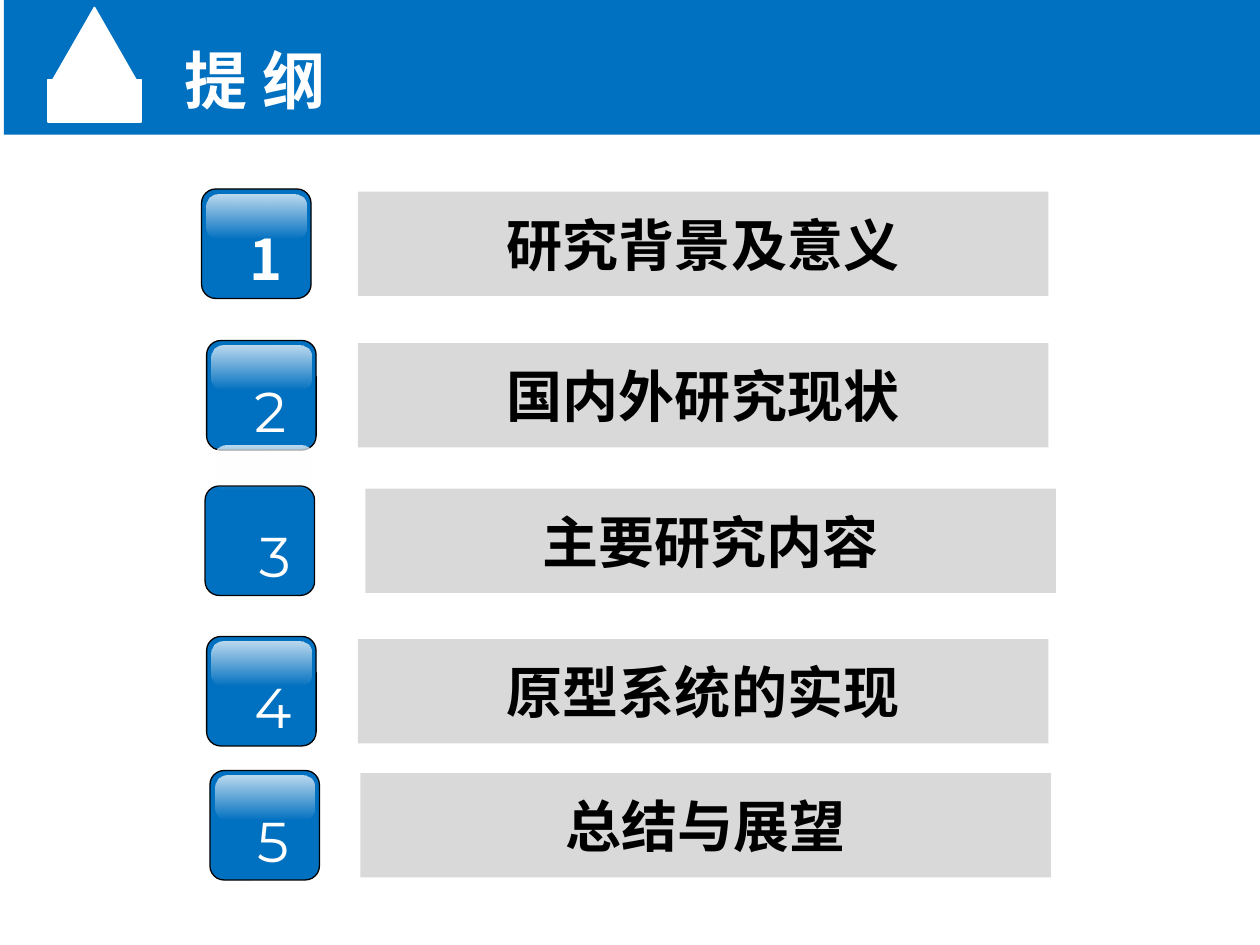
from pptx import Presentation
from pptx.dml.color import RGBColor
from pptx.enum.shapes import MSO_SHAPE
from pptx.enum.text import MSO_ANCHOR, MSO_AUTO_SIZE, PP_ALIGN
from pptx.oxml.ns import qn
from pptx.util import Pt
from lxml.etree import SubElement

HUES = {"blue": "0070C0", "gray": "D9D9D9", "white": "FFFFFF", "black": "000000"}
NOTO, MONT = "Noto Sans CJK SC", "Montserrat"
SIDE = 62.6

# label, number font, badge left, badge top, bar left, digit shift, shine shift
ROWS = [
    ("研究背景及意义", NOTO, 115.2, 108, 204.5, 20.2, (3, 3)),
    ("国内外研究现状", MONT, 118.1, 194.6, 204.5, 20.2, (3, 3)),
    ("主要研究内容", MONT, 117.2, 277.7, 208.8, 23.8, (5.2, -23)),
    ("原型系统的实现", MONT, 118.1, 363.7, 204.5, 20.2, (3, 3)),
    ("总结与展望", MONT, 120.0, 440.3, 205.9, 19.8, (3, 3)),
]


def tint(name):
    return RGBColor.from_string(HUES[name])


class Deck:
    """Holds the text style and the current slide."""

    def __init__(self, size=32):
        self.size = size
        self.prs = Presentation()
        self.prs.slide_width, self.prs.slide_height = Pt(720), Pt(540)
        self.slide = self.prs.slides.add_slide(self.prs.slide_layouts[6])

    def shape(self, kind, box, fill, line=None, width=1, home=None, adj=None):
        home = home or self.slide
        item = home.shapes.add_shape(kind, *map(Pt, box))
        item.shadow.inherit = False
        if adj is not None:
            item.adjustments[0] = adj
        if fill:
            item.fill.solid()
            item.fill.fore_color.rgb = tint(fill)
        if line:
            item.line.color.rgb = tint(line)
            item.line.width = Pt(width)
        else:
            item.line.fill.background()
        return item

    def add_text(self, para, text, hue, face=NOTO, size=None, bold=True, gap=None):
        run = para.add_run()
        run.text = text
        font = run.font
        font.name, font.size, font.bold = face, Pt(size or self.size), bold
        font.color.rgb = tint(hue)
        props = run._r.get_or_add_rPr()
        SubElement(props, qn("a:ea")).set("typeface", face)
        if gap is not None:
            props.set("spc", str(gap))

    def label(self, box, text, home=None, align=None, grow=False, **style):
        item = (home or self.slide).shapes.add_textbox(*map(Pt, box))
        frame = item.text_frame
        frame.word_wrap = False
        if grow:
            frame.auto_size = MSO_AUTO_SIZE.SHAPE_TO_FIT_TEXT
        para = frame.paragraphs[0]
        para.alignment = align
        self.add_text(para, text, "white", **style)

    def shine(self, box, home):
        """Add a white gloss that fades out downwards."""
        item = self.shape(MSO_SHAPE.ROUNDED_RECTANGLE, box, None, home=home, adj=0.26)
        item.fill.gradient()
        item.fill.gradient_angle = 270
        for stop, pos in zip(item.fill.gradient_stops, (0, 1)):
            stop.color.rgb = tint("white")
            stop.position = pos
        for node, alpha in zip(item._element.spPr.iter(qn("a:srgbClr")), (75000, 0)):
            SubElement(node, qn("a:alpha")).set("val", str(alpha))

    def badge(self, num, face, left, top, shift, gloss):
        group = self.slide.shapes.add_group_shape()
        self.shape(MSO_SHAPE.ROUNDED_RECTANGLE, (left, top, SIDE, SIDE), "blue",
                   "black", 0.75, group, 0.13)
        self.label((left + shift, top + 17, 16.6, 28.8), str(num), group,
                   PP_ALIGN.CENTER, face=face, bold=face == NOTO, gap=-70)
        self.shine((left + gloss[0], top + gloss[1], 56.9, 25.2), group)

    def bar(self, left, top, text):
        item = self.shape(MSO_SHAPE.RECTANGLE, (left, top, 394.6, 59.6), "gray")
        frame = item.text_frame
        frame.vertical_anchor = MSO_ANCHOR.MIDDLE
        para = frame.paragraphs[0]
        para.alignment = PP_ALIGN.CENTER
        self.add_text(para, text, "black")


def main():
    deck = Deck()
    deck.shape(MSO_SHAPE.RECTANGLE, (2.2, 0, 720, 77), "blue")
    deck.shape(MSO_SHAPE.RECTANGLE, (27.4, 45.4, 53.3, 24.5), "white", "white")
    deck.shape(MSO_SHAPE.ISOSCELES_TRIANGLE, (28.8, 4.3, 50.4, 43.9), "white", "white")
    deck.label((98.6, 20.2, 105.8, 51.1), "提 纲", grow=True, size=36)
    for num, (text, face, left, top, side, shift, gloss) in enumerate(ROWS, 1):
        deck.badge(num, face, left, top, shift, gloss)
        deck.bar(side, top + 1.5, text)
    deck.prs.save("out.pptx")


if __name__ == "__main__":
    main()
